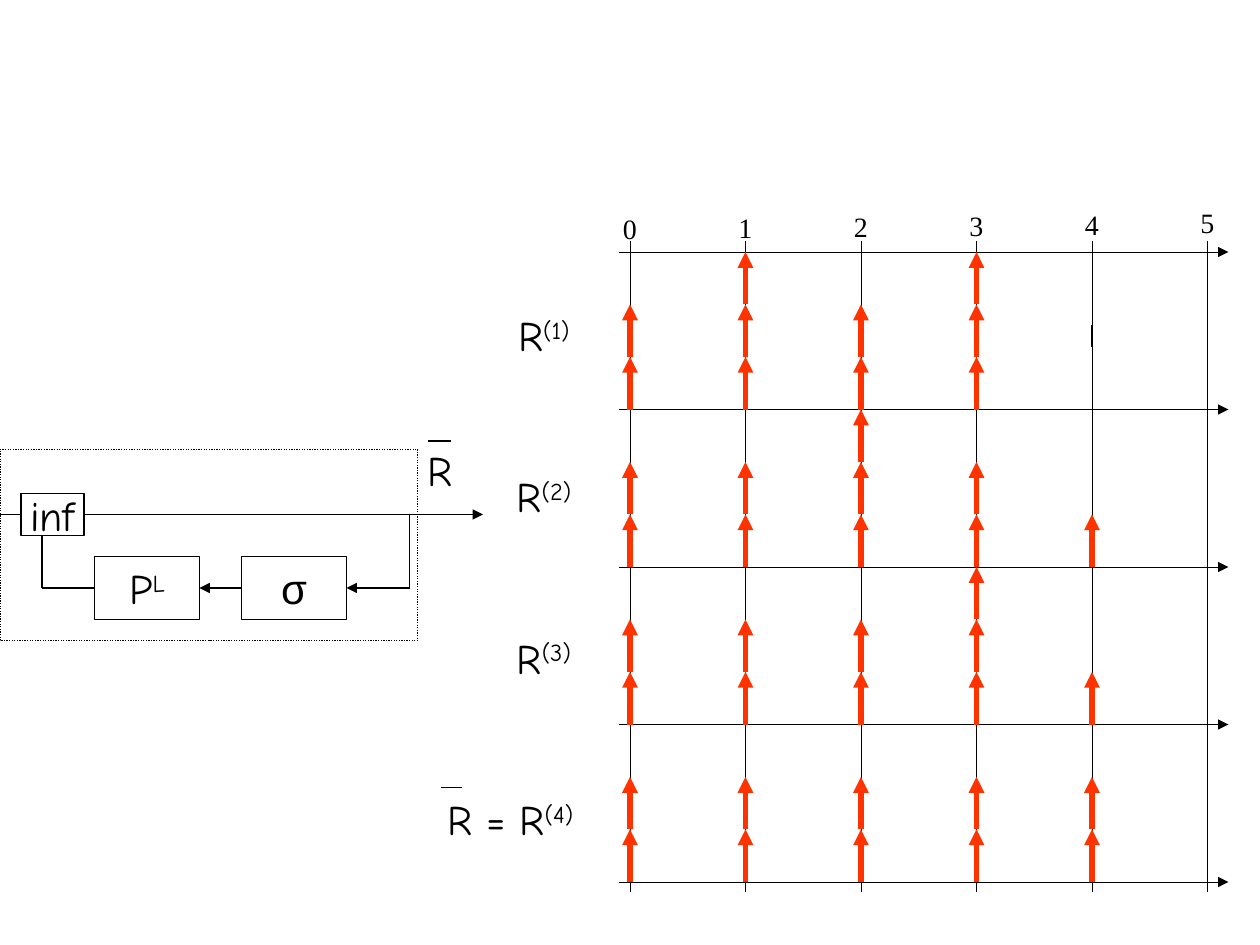
from dataclasses import dataclass

import pptx
import pptx.dml.color
import pptx.enum.dml
import pptx.enum.shapes
import pptx.enum.text
import pptx.oxml
import pptx.oxml.ns
import pptx.util


@dataclass(frozen=True)
class Theme:
    ink: str = "000000"
    paper: str = "FFFFFF"
    pulse: str = "FF3300"
    label_font: str = "Comic Neue"
    symbol_font: str = "Arial"
    number_font: str = "Times New Roman"
    label_size: float = 24
    number_size: float = 16
    hairline: float = 0.25
    thin: float = 0.75
    thick: float = 3


THEME = Theme()
TOP, LEFT, BOTTOM, RIGHT = range(4)

# The slide is a grid of 120 by 90 units, twelve to the inch
COLUMNS, ROWS = 120, 90
UNITS_PER_INCH = 12

# Timing chart, in grid units
FIRST_TIME, TIME_STEP = 60, 11
FIRST_AXIS, AXIS_STEP = 24, 15
PULSE_HEIGHT = 5
PULSE_COUNTS = [
    [2, 3, 2, 3, 0],
    [2, 2, 3, 2, 1],
    [2, 2, 2, 3, 1],
    [2, 2, 2, 2, 2],
]
NUMBER_TOPS = [19.6, 19.45, 19.4, 19.3, 19.2, 19]


def units(value):
    return pptx.util.Inches(value / UNITS_PER_INCH)


def color(value):
    return pptx.dml.color.RGBColor.from_string(value)


def add_line(slide, start, end, width=THEME.thin, line_color=THEME.ink, arrow=False):
    """Draw a straight line, with an arrowhead at its end if asked."""
    connector = slide.shapes.add_connector(
        pptx.enum.shapes.MSO_CONNECTOR.STRAIGHT, *map(units, (*start, *end)))
    connector.line.width = pptx.util.Pt(width)
    connector.line.color.rgb = color(line_color)
    properties = connector._element.spPr
    if arrow:
        head = pptx.oxml.parse_xml(
            f'<a:tailEnd {pptx.oxml.ns.nsdecls("a")} type="triangle"/>')
        connector.line._get_or_add_ln().append(head)
    properties.append(pptx.oxml.parse_xml(
        f'<a:effectLst {pptx.oxml.ns.nsdecls("a")}/>'))
    return connector


def add_rectangle(slide, box, fill=None, outline=THEME.ink):
    shape = slide.shapes.add_shape(
        pptx.enum.shapes.MSO_SHAPE.RECTANGLE, *map(units, box))
    shape.shadow.inherit = False
    if fill:
        shape.fill.solid()
        shape.fill.fore_color.rgb = color(fill)
    else:
        shape.fill.background()
    if outline:
        shape.line.color.rgb = color(outline)
        shape.line.width = pptx.util.Pt(THEME.thin)
    else:
        shape.line.fill.background()
    return shape


def write(shape, text, superscript="", font=THEME.label_font, size=THEME.label_size):
    """Put one centred line of text in a shape."""
    frame = shape.text_frame
    frame.word_wrap = False
    paragraph = frame.paragraphs[0]
    paragraph.alignment = pptx.enum.text.PP_ALIGN.CENTER
    paragraph.font.name = font
    paragraph.font.size = pptx.util.Pt(size)
    paragraph.font.color.rgb = color(THEME.ink)
    paragraph.add_run().text = text
    if superscript:
        run = paragraph.add_run()
        run.text = superscript
        run._r.get_or_add_rPr().set("baseline", "30000")


def add_block(slide, box, text, fill=None, **style):
    block = add_rectangle(slide, box, fill)
    block.text_frame.vertical_anchor = pptx.enum.text.MSO_ANCHOR.MIDDLE
    write(block, text, **style)
    return block


def add_label(slide, box, text, fill=None, outline=THEME.paper, **style):
    label = add_rectangle(slide, box, fill, outline)
    label.text_frame.vertical_anchor = pptx.enum.text.MSO_ANCHOR.TOP
    label.text_frame.auto_size = pptx.enum.text.MSO_AUTO_SIZE.SHAPE_TO_FIT_TEXT
    write(label, text, **style)
    return label


def draw_feedback_loop(slide):
    # Blocks of the return path
    period = add_block(slide, (9, 53, 10, 6), "P", superscript="L")
    shift = add_block(slide, (23, 53, 10, 6), "σ", font=THEME.symbol_font)

    # Main path and return path
    add_line(slide, (0, 49), (46, 49), arrow=True)
    add_line(slide, (39, 49), (39, 56))
    add_line(slide, (39, 56), (33, 56), arrow=True).end_connect(shift, RIGHT)
    link = add_line(slide, (23, 56), (19, 56), arrow=True)
    link.begin_connect(shift, LEFT)
    link.end_connect(period, RIGHT)
    add_line(slide, (9, 56), (4, 56)).begin_connect(period, LEFT)
    add_line(slide, (4, 56), (4, 49), arrow=True)
    add_block(slide, (2, 47, 6, 4), "inf", fill=THEME.paper)

    # Output with its overbar, and the dotted frame
    add_label(slide, (39.5, 41.75, 4.8, 6), "R", fill=THEME.paper, outline=None)
    add_line(slide, (40.8, 42), (43, 42))
    frame = add_rectangle(slide, (0, 42.8, 39.8, 18.2))
    frame.line.dash_style = pptx.enum.dml.MSO_LINE.ROUND_DOT


def draw_time_grid(slide):
    for index, top in enumerate(NUMBER_TOPS):
        time = FIRST_TIME + index * TIME_STEP
        add_label(slide, (time - 1.9, top, 3.8, 4.45), str(index),
                  font=THEME.number_font, size=THEME.number_size)
        add_line(slide, (time, FIRST_AXIS - 1), (time, ROWS - 5), THEME.hairline)
    for index in range(len(PULSE_COUNTS) + 1):
        axis = FIRST_AXIS + index * AXIS_STEP
        add_line(slide, (FIRST_TIME - 1, axis), (COLUMNS - 3, axis),
                 THEME.hairline, arrow=True)
    # Tick in the empty cell of the first row
    empty_time = FIRST_TIME + 4 * TIME_STEP
    add_line(slide, (empty_time, 31), (empty_time, 33))


def draw_pulses(slide):
    for row, counts in enumerate(PULSE_COUNTS, start=1):
        axis = FIRST_AXIS + row * AXIS_STEP
        for column, count in enumerate(counts):
            time = FIRST_TIME + column * TIME_STEP
            for level in range(count):
                base = axis - level * PULSE_HEIGHT
                add_line(slide, (time, base), (time, base - PULSE_HEIGHT),
                         THEME.thick, THEME.pulse, arrow=True)


def draw_row_labels(slide):
    for row in range(3):
        add_label(slide, (47.8, 28.9 + row * 15.37, 8, 6), "R",
                  superscript=f"({row + 1})")
    # Result row with its overbar
    add_label(slide, (41.3, 75, 14.6, 6), "R = R", superscript="(4)")
    add_line(slide, (42, 75), (44, 75))


def main():
    presentation = pptx.Presentation()
    presentation.slide_width = units(COLUMNS)
    presentation.slide_height = units(ROWS)
    slide = presentation.slides.add_slide(presentation.slide_layouts[6])
    draw_feedback_loop(slide)
    draw_time_grid(slide)
    draw_pulses(slide)
    draw_row_labels(slide)
    presentation.save("out.pptx")


if __name__ == "__main__":
    main()
